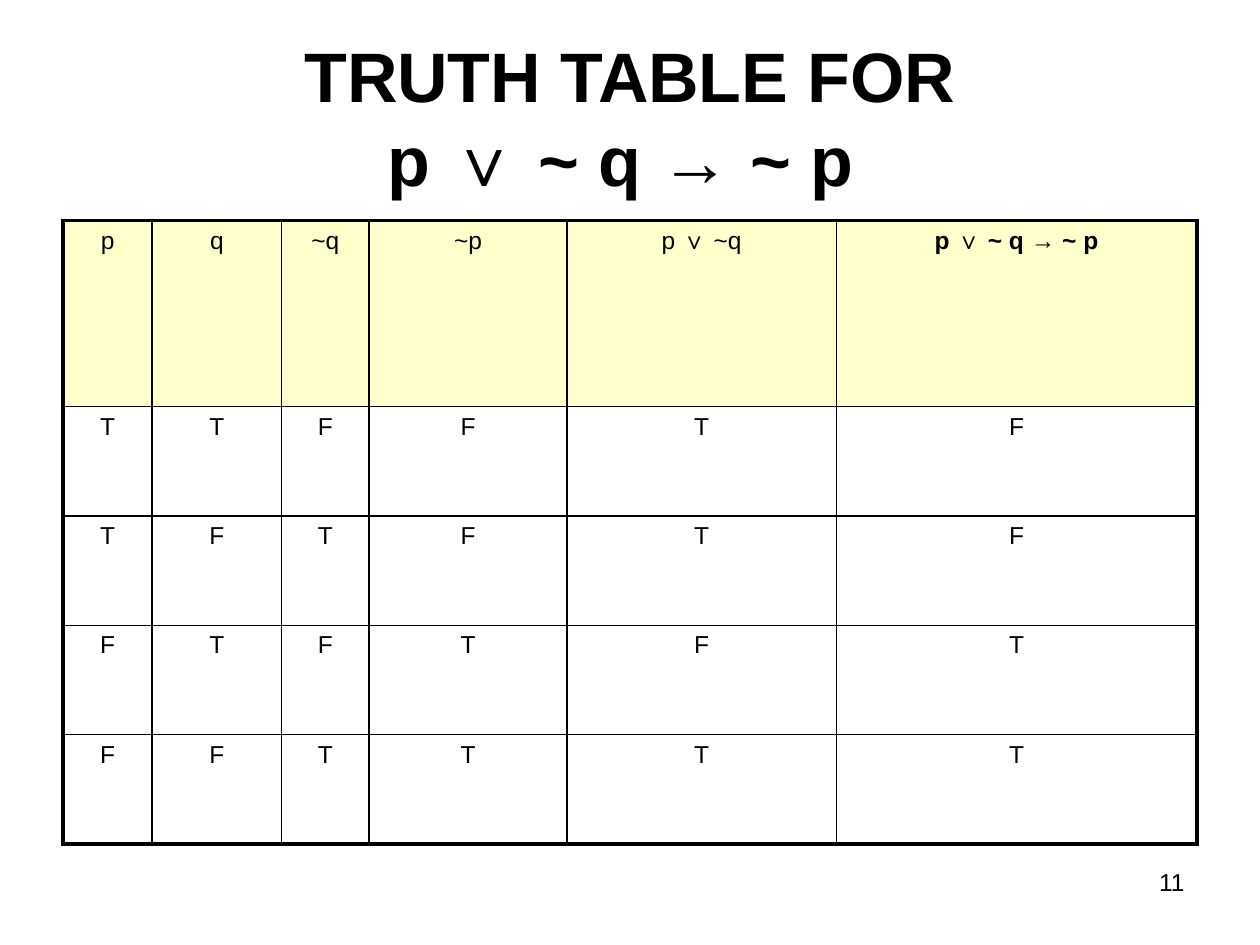
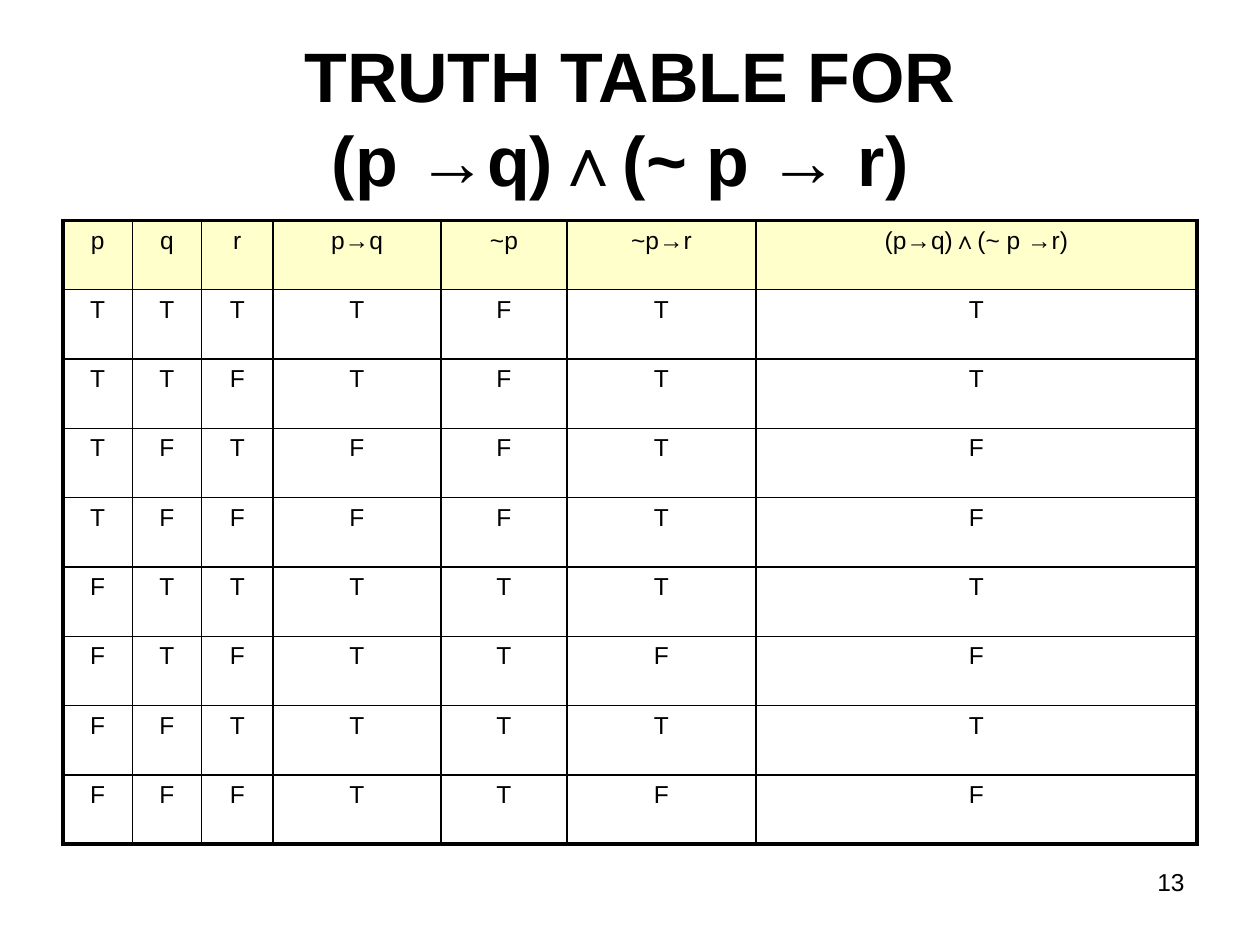
import dataclasses
import itertools
import typing

import lxml.etree
import pptx
import pptx.dml.color
import pptx.enum.text
import pptx.oxml.ns
import pptx.util

Pt = pptx.util.Pt
ALIGN = pptx.enum.text.PP_ALIGN
ANCHOR = pptx.enum.text.MSO_ANCHOR

COLORS = {"ink": "000000", "header": "FFFFCC"}
FONT = "Arial"
OUTER_LINE, INNER_LINE = 2.25, 1

# Boxes are left, top, width, height in points
TITLE_BOX = (36, 21.6, 648, 90)
TABLE_BOX = (36, 126, 648, 356.4)
PAGE_NUMBER_BOX = (516, 492, 168, 37.2)


@dataclasses.dataclass
class Column:
    """One formula of a truth table; bold is the part of the heading set in bold."""
    heading: str
    width: float
    formula: typing.Callable
    bold: str = ""


def implies(a, b):
    return not a or b


def rgb(name):
    return pptx.dml.color.RGBColor.from_string(COLORS[name])


def style_paragraph(paragraph, size, align, bold=False):
    paragraph.alignment = align
    paragraph.font.name = FONT
    paragraph.font.size = Pt(size)
    paragraph.font.bold = bold
    paragraph.font.color.rgb = rgb("ink")


def add_title(slide, box, expression):
    title = slide.shapes.title
    title.left, title.top, title.width, title.height = map(Pt, box)
    frame = title.text_frame
    frame.auto_size = pptx.enum.text.MSO_AUTO_SIZE.NONE
    frame.vertical_anchor = ANCHOR.MIDDLE
    frame.text = f"TRUTH TABLE FOR\v{expression} "
    style_paragraph(frame.paragraphs[0], 40, ALIGN.CENTER, bold=True)


def add_page_number(slide, box, number):
    frame = slide.shapes.add_textbox(*map(Pt, box)).text_frame
    frame.word_wrap = True
    frame.text = str(number)
    style_paragraph(frame.paragraphs[0], 14, ALIGN.RIGHT)


def set_borders(cell, widths):
    """Draw the left, right, top and bottom borders in the given widths."""
    properties = cell._tc.get_or_add_tcPr()
    qn = pptx.oxml.ns.qn
    for side, width in zip("LRTB", widths):
        line = lxml.etree.SubElement(properties, qn(f"a:ln{side}"), w=str(Pt(width)))
        fill = lxml.etree.SubElement(line, qn("a:solidFill"))
        lxml.etree.SubElement(fill, qn("a:srgbClr"), val=COLORS["ink"])


def fill_heading(cell, column):
    paragraph = cell.text_frame.paragraphs[0]
    all_bold = column.bold == column.heading
    style_paragraph(paragraph, 14, ALIGN.CENTER, all_bold)
    if all_bold or not column.bold:
        paragraph.add_run().text = column.heading
    else:
        for part in column.heading.partition(column.bold):
            run = paragraph.add_run()
            run.text = part
            run.font.bold = part == column.bold
    cell.fill.solid()
    cell.fill.fore_color.rgb = rgb("header")


def fill_value(cell, value):
    cell.text = "T" if value else "F"
    style_paragraph(cell.text_frame.paragraphs[0], 14, ALIGN.CENTER)
    cell.fill.background()


def add_truth_table(slide, box, columns, variable_count, row_height):
    """Work out every row of the table; the heading row takes the height left over."""
    cases = list(itertools.product((True, False), repeat=variable_count))
    last_row, last_column = len(cases), len(columns) - 1
    table = slide.shapes.add_table(last_row + 1, len(columns), *map(Pt, box)).table
    table.first_row = table.horz_banding = False

    for grid_column, column in zip(table.columns, columns):
        grid_column.width = Pt(column.width)
    for row in table.rows:
        row.height = Pt(row_height)
    table.rows[0].height = Pt(box[3] - row_height * len(cases))

    for r, c in itertools.product(range(last_row + 1), range(len(columns))):
        cell = table.cell(r, c)
        at_edge = (c == 0, c == last_column, r == 0, r == last_row)
        set_borders(cell, [OUTER_LINE if edge else INNER_LINE for edge in at_edge])
        if r == 0:
            fill_heading(cell, columns[c])
        else:
            fill_value(cell, columns[c].formula(*cases[r - 1]))


def add_truth_table_slide(deck, number, expression, columns, variable_count, row_height):
    slide = deck.slides.add_slide(deck.slide_layouts.get_by_name("Title Only"))
    add_page_number(slide, PAGE_NUMBER_BOX, number)
    add_title(slide, TITLE_BOX, expression)
    add_truth_table(slide, TABLE_BOX, columns, variable_count, row_height)


DISJUNCTION_COLUMNS = [
    Column("p", 51, lambda p, q: p),
    Column("q", 74, lambda p, q: q),
    Column("~q", 50, lambda p, q: not q),
    Column("~p", 113, lambda p, q: not p),
    Column("p ∨ ~q", 154, lambda p, q: p or not q),
    Column("p ∨ ~ q → ~ p", 206, lambda p, q: implies(p or not q, not p),
           bold="p ∨ ~ q → ~ p"),
]

CONJUNCTION_COLUMNS = [
    Column("p", 39.6, lambda p, q, r: p),
    Column("q", 39.6, lambda p, q, r: q),
    Column("r", 40.8, lambda p, q, r: r),
    Column("p→q", 96, lambda p, q, r: implies(p, q), bold="→"),
    Column("~p", 72, lambda p, q, r: not p),
    Column("~p→r", 108, lambda p, q, r: implies(not p, r)),
    Column("(p→q)∧(~ p →r)", 252,
           lambda p, q, r: implies(p, q) and implies(not p, r)),
]


def main():
    deck = pptx.Presentation()
    deck.slide_width, deck.slide_height = Pt(720), Pt(540)
    add_truth_table_slide(deck, 11, "p ∨ ~ q → ~ p", DISJUNCTION_COLUMNS,
                          variable_count=2, row_height=62.5)
    add_truth_table_slide(deck, 13, "(p →q)∧(~ p → r)", CONJUNCTION_COLUMNS,
                          variable_count=3, row_height=39.6)
    deck.save("out.pptx")


if __name__ == "__main__":
    main()
